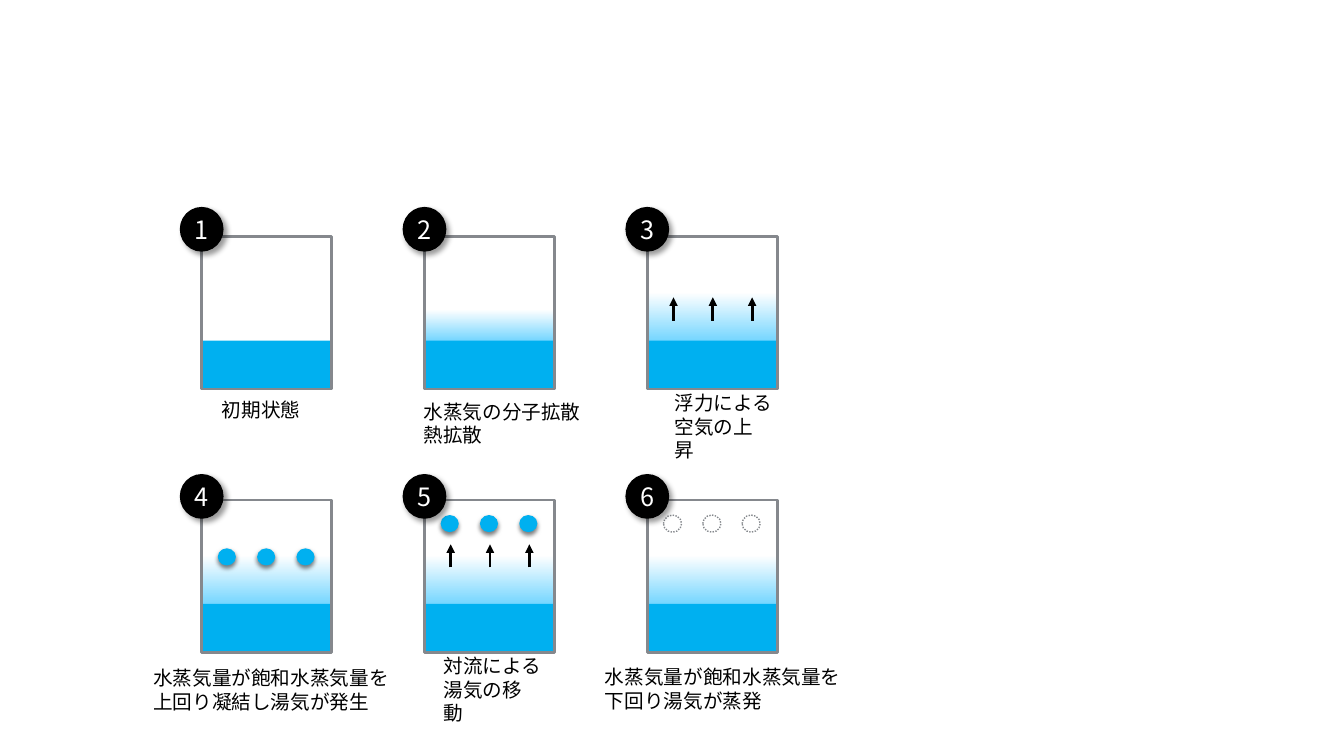
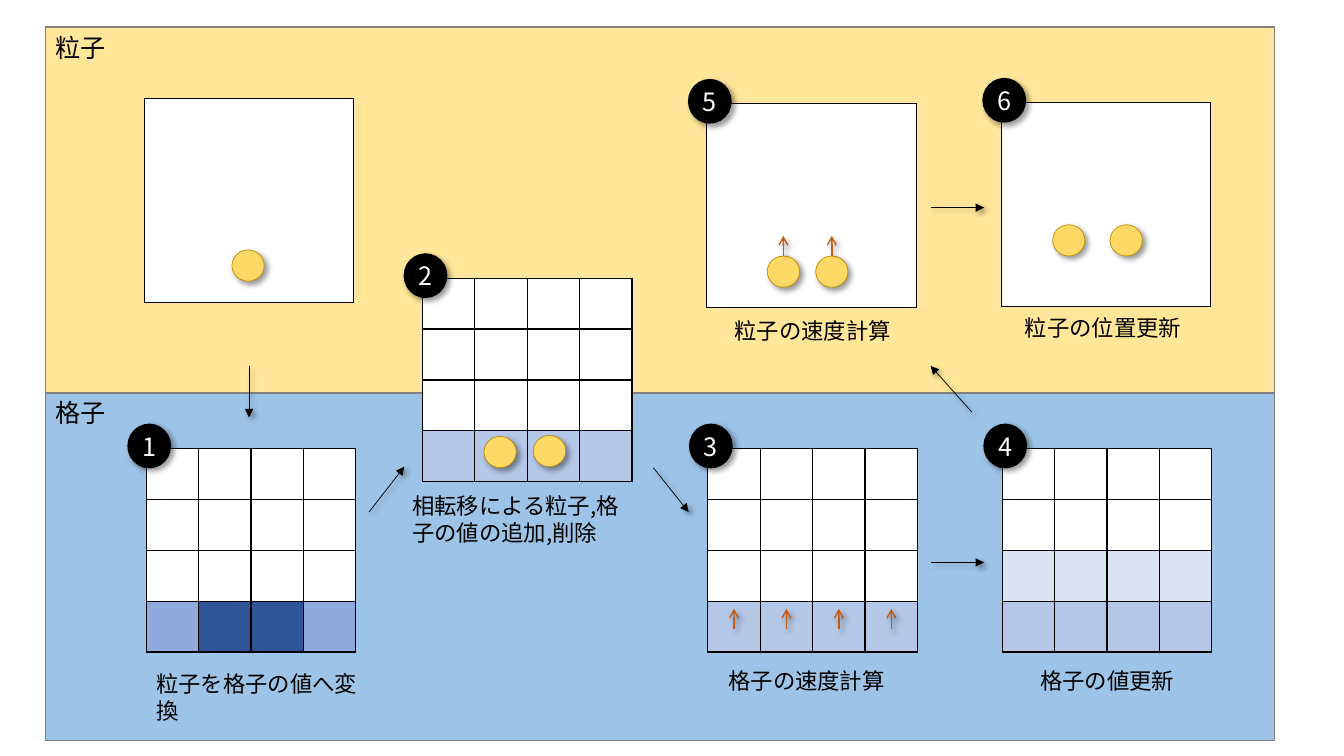
import pptx
import pptx.dml.color
import pptx.enum.dml
import pptx.enum.shapes
import pptx.enum.text
import pptx.oxml
import pptx.oxml.ns
import pptx.util

Inches = pptx.util.Inches
Pt = pptx.util.Pt
RGBColor = pptx.dml.color.RGBColor
MSO_SHAPE = pptx.enum.shapes.MSO_SHAPE
PP_ALIGN = pptx.enum.text.PP_ALIGN
MSO_ANCHOR = pptx.enum.text.MSO_ANCHOR
qn = pptx.oxml.ns.qn

FONT = "Noto Sans CJK JP"
BLACK = RGBColor(0x00, 0x00, 0x00)
WHITE = RGBColor(0xFF, 0xFF, 0xFF)
WATER = RGBColor(0x00, 0xB0, 0xF0)
STEAM = RGBColor(0x76, 0xD6, 0xFF)
GLASS = RGBColor(0x85, 0x88, 0x8D)
BAND_LINE = RGBColor(0x80, 0x80, 0x80)
GRID_BAND = RGBColor(0x9D, 0xC3, 0xE6)
PARTICLE_BAND = RGBColor(0xFF, 0xE6, 0x99)
PARTICLE = RGBColor(0xFF, 0xD9, 0x66)
PARTICLE_LINE = RGBColor(0xBF, 0x90, 0x00)
VELOCITY = RGBColor(0xC5, 0x5A, 0x11)
PALE = RGBColor(0xDA, 0xE3, 0xF3)
LIGHT = RGBColor(0xB4, 0xC7, 0xE7)
MEDIUM = RGBColor(0x8F, 0xAA, 0xDC)
DARK = RGBColor(0x2F, 0x55, 0x97)

# Shadows: opacity in percent, blur and distance in points, direction in degrees
SOFT_SHADOW = (40, 4, 3, 45)
DROP_SHADOW = (50, 3, 2, 90)

# Slide 1: tanks in rows of three; offsets are measured from the tank's corner
TANK_LEFT, TANK_STEP = 2, 2.21
TANK_TOPS = (2.35, 4.96)
BADGE_TOPS = (2.06, 4.71)
TANK_WIDTH, TANK_HEIGHT, WATER_HEIGHT = 1.29, 1.51, 0.48
TANKS = [
    {"caption": "初期状態", "box": (2.14, 3.89, 0.9, 0.35)},
    {"caption": "水蒸気の分子拡散\n熱拡散", "box": (4.14, 3.91, 1.68, 0.58), "steam": 0.31},
    {"caption": "浮力による\n空気の上昇", "box": (6.63, 3.94, 1.09, 0.58), "steam": 0.48,
     "arrows": 0.6},
    {"caption": "水蒸気量が飽和水蒸気量を\n上回り凝結し湯気が発生", "box": (1.46, 6.55, 2.47, 0.58),
     "steam": 0.48, "drops": 0.48},
    {"caption": "対流による\n湯気の移動", "box": (4.34, 6.55, 1.09, 0.58), "steam": 0.48,
     "drops": 0.15, "arrows": 0.44},
    {"caption": "水蒸気量が飽和水蒸気量を\n下回り湯気が蒸発", "box": (5.94, 6.54, 2.47, 0.58),
     "steam": 0.48, "ghosts": 0.15},
]

# Slide 2
BANDS = [
    ("格子", (0.45, 3.89, 12.19, 3.46), GRID_BAND),
    ("粒子", (0.45, 0.27, 12.19, 3.63), PARTICLE_BAND),
]
PANEL_WIDTH, PANEL_HEIGHT = 2.08, 2.02
BLANK_PANEL = [[WHITE] * 2]
WHITE_ROW, LIGHT_ROW = [WHITE] * 4, [LIGHT] * 4
LIGHT_GRID = [WHITE_ROW] * 3 + [LIGHT_ROW]
PANELS = [  # badge, left, top, cell colours
    ("", 1.43, 0.98, BLANK_PANEL),
    ("1", 1.45, 4.45, [WHITE_ROW] * 3 + [[MEDIUM, DARK, DARK, MEDIUM]]),
    ("2", 4.19, 2.76, LIGHT_GRID),
    ("3", 7.02, 4.45, LIGHT_GRID),
    ("4", 9.94, 4.45, [WHITE_ROW] * 2 + [[PALE] * 4, LIGHT_ROW]),
    ("5", 7.01, 1.03, BLANK_PANEL),
    ("6", 9.93, 1.02, BLANK_PANEL),
]
PANEL_CAPTIONS = [
    ("粒子を格子の値へ変換", (1.45, 6.6, 2.38, 0.64), PP_ALIGN.LEFT),
    ("相転移による粒子,格子の値の追加,削除", (3.99, 4.83, 2.38, 0.64), PP_ALIGN.LEFT),
    ("格子の速度計算", (6.9, 6.57, 2.2, 0.37), PP_ALIGN.CENTER),
    ("格子の値更新", (9.94, 6.57, 2.08, 0.37), PP_ALIGN.CENTER),
    ("粒子の速度計算", (7.02, 3.1, 2.08, 0.37), PP_ALIGN.CENTER),
    ("粒子の位置更新", (9.86, 3.07, 2.16, 0.38), PP_ALIGN.CENTER),
]
PARTICLES = [(2.3, 2.48), (4.8, 4.33), (5.29, 4.32), (7.61, 2.54), (8.09, 2.54),
             (10.44, 2.23), (11.01, 2.23)]
FLOW_ARROWS = [
    ((2.47, 3.63), (2.47, 4.14)), ((3.66, 5.08), (4.01, 4.63)),
    ((6.48, 4.64), (6.83, 5.08)), ((9.23, 5.58), (9.76, 5.58)),
    ((9.64, 4.09), (9.23, 3.63)), ((9.23, 2.06), (9.76, 2.06)),
]
VELOCITY_STARTS = [(7.28 + 0.52 * column, 6.24) for column in range(4)]
VELOCITY_STARTS += [(7.77, 2.54), (8.25, 2.54)]


def add_xml(parent, tag, **attributes):
    element = pptx.oxml.ns.qn(tag)
    child = parent.makeelement(element, {name: str(value) for name, value in attributes.items()})
    parent.append(child)
    return child


def add_shadow(effects, shadow):
    opacity, blur, distance, direction = shadow
    outer = add_xml(effects, "a:outerShdw", blurRad=Pt(blur), dist=Pt(distance),
                    dir=direction * 60000, algn="ctr", rotWithShape=0)
    add_xml(add_xml(outer, "a:srgbClr", val=BLACK), "a:alpha", val=opacity * 1000)


def write_text(shape, text, size=18, color=BLACK, align=PP_ALIGN.LEFT,
               anchor=MSO_ANCHOR.TOP, wrap=True, inset=None):
    """Fill a shape with text, one paragraph per line; inset is one margin for all sides."""
    frame = shape.text_frame
    frame.word_wrap = wrap
    frame.vertical_anchor = anchor
    if inset is not None:
        frame.margin_left = frame.margin_right = Inches(inset)
        frame.margin_top = frame.margin_bottom = Inches(inset)
    frame.text = text
    for paragraph in frame.paragraphs:
        paragraph.alignment = align
        font = paragraph.runs[0].font
        font.size = Pt(size)
        font.color.rgb = color
        font.name = FONT
        add_xml(paragraph.runs[0].font._element, "a:ea", typeface=FONT)


def add_text(slide, text, box, **text_format):
    write_text(slide.shapes.add_textbox(*map(Inches, box)), text, **text_format)


def add_figure(slide, kind, box, fill=None, line=None, width=1, dash=None, shadow=None):
    shape = slide.shapes.add_shape(kind, *map(Inches, box))
    if fill is None:
        shape.fill.background()
    else:
        shape.fill.solid()
        shape.fill.fore_color.rgb = fill
    if line is None:
        shape.line.fill.background()
    else:
        shape.line.color.rgb = line
        shape.line.width = Pt(width)
        if dash:
            shape.line.dash_style = dash
    shape.shadow.inherit = False
    if shadow:
        add_shadow(shape.element.spPr.find(qn("a:effectLst")), shadow)
    return shape


def add_arrow(slide, start, end, color=BLACK, width=0.5, head="triangle", shadow=None):
    arrow = slide.shapes.add_connector(pptx.enum.shapes.MSO_CONNECTOR.STRAIGHT,
                                       *map(Inches, start + end))
    arrow.line.color.rgb = color
    arrow.line.width = Pt(width)
    properties = arrow.element.spPr
    add_xml(properties.find(qn("a:ln")), "a:tailEnd", type=head)
    effects = add_xml(properties, "a:effectLst")
    if shadow:
        add_shadow(effects, shadow)


def add_badge(slide, number, left, top):
    badge = add_figure(slide, MSO_SHAPE.OVAL, (left, top, 0.42, 0.43), BLACK, BLACK,
                       shadow=SOFT_SHADOW)
    write_text(badge, number, color=WHITE, align=PP_ALIGN.CENTER, anchor=MSO_ANCHOR.MIDDLE,
               wrap=False)


def add_steam(slide, box):
    steam = add_figure(slide, MSO_SHAPE.RECTANGLE, box, WHITE)
    steam.fill.gradient()
    steam.fill.gradient_angle = 270
    for stop, color, position in zip(steam.fill.gradient_stops, (WHITE, STEAM), (0, 1)):
        stop.color.rgb = color
        stop.position = position


def set_borders(cell, visible):
    """Draw the visible sides (letters of LRTB) and hide the others."""
    properties = cell._tc.get_or_add_tcPr()
    for side in "LRTB":
        line = add_xml(properties, "a:ln" + side, w=Pt(1))
        if side in visible:
            add_xml(add_xml(line, "a:solidFill"), "a:srgbClr", val=BLACK)
        else:
            add_xml(line, "a:noFill")


def add_panel(slide, left, top, colors):
    rows, columns = len(colors), len(colors[0])
    frame = slide.shapes.add_table(rows, columns, *map(Inches, (left, top, PANEL_WIDTH,
                                                                PANEL_HEIGHT)))
    table = frame.table
    table.first_row = table.horz_banding = False
    for row, row_colors in enumerate(colors):
        for column, color in enumerate(row_colors):
            cell = table.cell(row, column)
            if colors is BLANK_PANEL:
                set_borders(cell, "LTB" if column == 0 else "RTB")
            else:
                set_borders(cell, "LRTB")
            cell.fill.solid()
            cell.fill.fore_color.rgb = color


def add_tank(slide, index, tank):
    row, column = divmod(index, 3)
    left, top = TANK_LEFT + TANK_STEP * column, TANK_TOPS[row]
    water_top = top + TANK_HEIGHT - WATER_HEIGHT
    if "steam" in tank:
        height = tank["steam"]
        add_steam(slide, (left + 0.01, water_top - height, 1.27, height))
    add_figure(slide, MSO_SHAPE.RECTANGLE, (left, water_top, TANK_WIDTH, WATER_HEIGHT), WATER)
    add_figure(slide, MSO_SHAPE.RECTANGLE, (left, top, TANK_WIDTH, TANK_HEIGHT),
               line=GLASS, width=2)
    for position in range(3):
        shift = left + 0.39 * position
        if "drops" in tank:
            add_figure(slide, MSO_SHAPE.OVAL, (shift + 0.16, top + tank["drops"], 0.18, 0.17),
                       WATER, shadow=DROP_SHADOW)
        if "ghosts" in tank:
            add_figure(slide, MSO_SHAPE.OVAL, (shift + 0.16, top + tank["ghosts"], 0.18, 0.17),
                       line=GLASS, dash=pptx.enum.dml.MSO_LINE.ROUND_DOT)
        if "arrows" in tank:
            tip = top + tank["arrows"]
            add_arrow(slide, (shift + 0.26, tip + 0.23), (shift + 0.26, tip), width=2)
    add_text(slide, tank["caption"], tank["box"], size=14, anchor=MSO_ANCHOR.MIDDLE,
             wrap=False, inset=0.06)
    add_badge(slide, str(index + 1), left - 0.21, BADGE_TOPS[row])


def build_steam_slide(slide):
    for index, tank in enumerate(TANKS):
        add_tank(slide, index, tank)


def build_simulation_slide(slide):
    for label, box, color in BANDS:
        write_text(add_figure(slide, MSO_SHAPE.RECTANGLE, box, color, BAND_LINE), label)
    for number, left, top, colors in PANELS:
        add_panel(slide, left, top, colors)
        if number:
            add_badge(slide, number, left - 0.18, top - 0.24)
    for caption, box, align in PANEL_CAPTIONS:
        add_text(slide, caption, box, size=16, align=align)
    for left, top in PARTICLES:
        add_figure(slide, MSO_SHAPE.OVAL, (left, top, 0.32, 0.31), PARTICLE, PARTICLE_LINE,
                   width=0.5, shadow=SOFT_SHADOW)
    for start, end in FLOW_ARROWS:
        add_arrow(slide, start, end, shadow=SOFT_SHADOW)
    for left, top in VELOCITY_STARTS:
        add_arrow(slide, (left, top), (left, top - 0.2), VELOCITY, width=1, head="arrow",
                  shadow=SOFT_SHADOW)


def main():
    presentation = pptx.Presentation()
    presentation.slide_width, presentation.slide_height = Inches(13.33), Inches(7.5)
    blank_layout = presentation.slide_layouts[6]
    for build in (build_steam_slide, build_simulation_slide):
        build(presentation.slides.add_slide(blank_layout))
    presentation.save("out.pptx")


if __name__ == "__main__":
    main()
